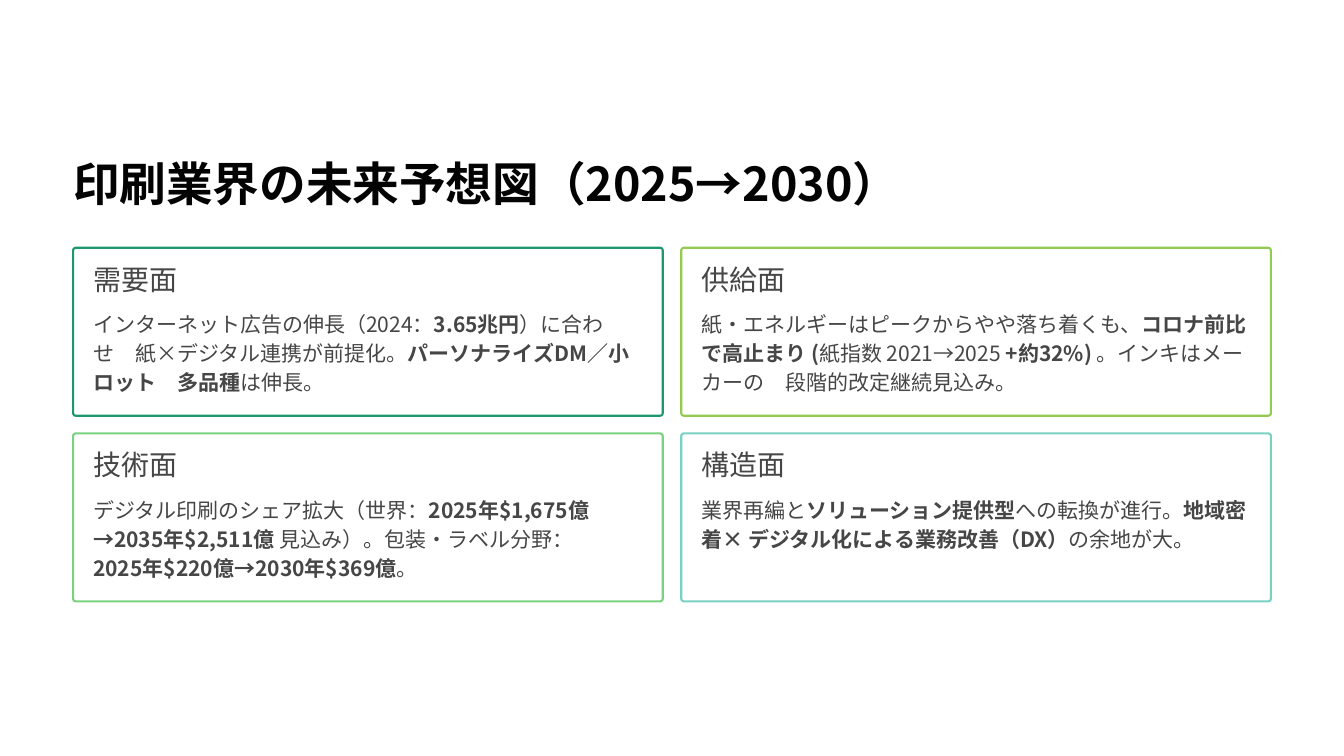
from lxml.etree import SubElement
from pptx import Presentation
from pptx.dml.color import RGBColor
from pptx.enum.shapes import MSO_SHAPE as Shape
from pptx.oxml.ns import qn
from pptx.util import Inches, Pt

WHITE = RGBColor(0xFF, 0xFF, 0xFF)
BLACK = RGBColor(0x03, 0x03, 0x03)
GRAY = RGBColor(0x46, 0x46, 0x46)
TEAL = RGBColor(0x1C, 0x97, 0x70)
LIME = RGBColor(0x93, 0xCB, 0x52)
GREEN = RGBColor(0x7A, 0xD1, 0x80)
AQUA = RGBColor(0x7A, 0xD1, 0xC3)

BREAK = "\n"
CARDS = [
    (TEAL, "需要面", [
        ("インターネット広告の伸長（2024：", False),
        ("3.65兆円", True),
        ("）に合わせ　紙×デジタル連携が前提化。", False),
        ("パーソナライズDM／小ロット　多品種", True),
        ("は伸長。", False)]),
    (LIME, "供給面", [
        ("紙・エネルギーはピークからやや落ち着くも、", False),
        ("コロナ前比で高止まり (", True),
        ("紙指数 2021→2025 ", False),
        ("+約32%) ", True),
        ("。インキはメーカーの　段階的改定継続見込み。", False)]),
    (GREEN, "技術面", [
        ("デジタル印刷のシェア拡大（世界：", False),
        ("2025年$1,675億→2035年$2,511億", True),
        (" 見込み）。包装・ラベル分野：", False),
        (BREAK, False),
        ("2025年$220億→2030年$369億", True),
        ("。", False)]),
    (AQUA, "構造面", [
        ("業界再編と", False),
        ("ソリューション提供型", True),
        ("への転換が進行。", False),
        ("地域密着× デジタル化による業務改善（DX）", True),
        ("の余地が大。", False)]),
]


class Deck:
    face = "Noto Sans CJK JP"

    def __init__(self):
        self.show = Presentation()
        self.show.slide_width = Inches(16)
        self.show.slide_height = Inches(9)
        self.slide = self.show.slides.add_slide(self.show.slide_layouts[6])

    def text(self, x, y, w, h, parts, size, lead, color=GRAY):
        box = self.slide.shapes.add_textbox(
            Inches(x), Inches(y), Inches(w), Inches(h))
        frame = box.text_frame
        frame.word_wrap = True
        frame.margin_left = frame.margin_right = 0
        frame.margin_top = frame.margin_bottom = 0
        para = frame.paragraphs[0]
        para.line_spacing = Pt(lead)
        font = para.font
        font.size = Pt(size)
        font.name = self.face
        font.color.rgb = color
        base = para._p.pPr.find(qn("a:defRPr"))
        SubElement(base, qn("a:ea")).set("typeface", self.face)
        for words, bold in parts:
            if words == BREAK:
                para.add_line_break()
                continue
            run = para.add_run()
            run.text = words
            run.font.bold = bold

    def frame(self, x, y, w, h, color):
        box = self.slide.shapes.add_shape(
            Shape.ROUNDED_RECTANGLE,
            Inches(x), Inches(y), Inches(w), Inches(h))
        box.adjustments[0] = 0.016
        box.shadow.inherit = False
        box.fill.solid()
        box.fill.fore_color.rgb = WHITE
        box.line.color.rgb = color
        box.line.width = Pt(1.8)

    def card(self, x, y, color, head, parts):
        self.frame(x, y, 7.02, 2, color)
        self.text(x + 0.24, y + 0.24, 2.71, 0.34, [(head, False)], 24, 24)
        self.text(x + 0.24, y + 0.71, 6.54, 1.04, parts, 18, 25)


def main():
    deck = Deck()
    title = [("印刷業界の未来予想図（2025→2030）", True)]
    deck.text(0.87, 1.84, 14.26, 0.68, title, 40, 48.5, BLACK)
    for i, (color, head, parts) in enumerate(CARDS):
        row, col = divmod(i, 2)
        deck.card(0.87 + 7.24 * col, 2.95 + 2.21 * row, color, head, parts)
    deck.show.save("out.pptx")


if __name__ == "__main__":
    main()
